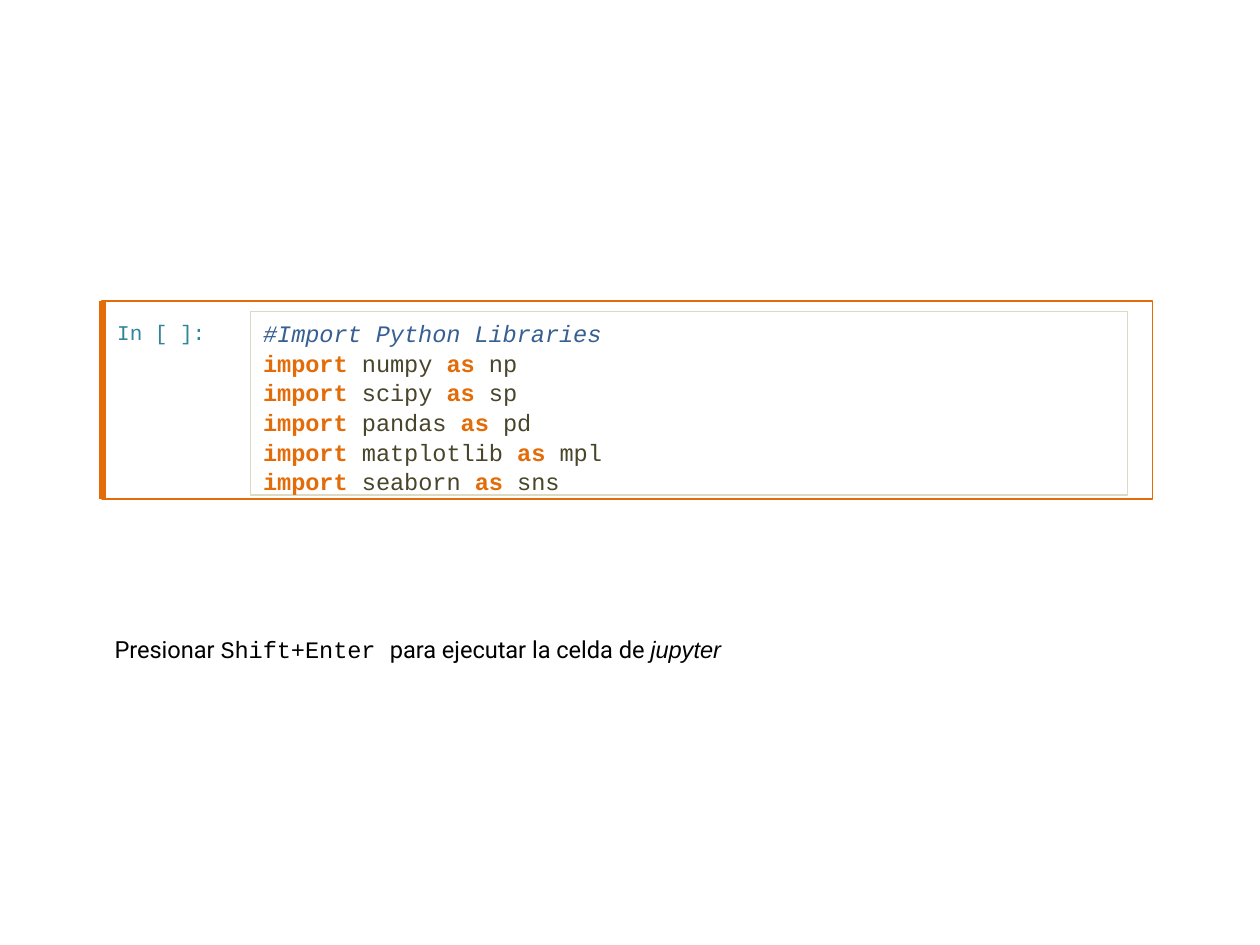
"""Build a slide that shows a notebook cell importing Python libraries."""
import pptx
import pptx.dml.color
import pptx.enum.shapes
import pptx.enum.text
import pptx.oxml
import pptx.oxml.ns
import pptx.util

Inches = pptx.util.Inches
Pt = pptx.util.Pt
RGBColor = pptx.dml.color.RGBColor

ORANGE = RGBColor(0xE3, 0x6C, 0x09)
TEAL = RGBColor(0x30, 0x85, 0x9C)
BLUE = RGBColor(0x37, 0x5F, 0x92)
OLIVE = RGBColor(0x49, 0x45, 0x2A)
BEIGE = RGBColor(0xDD, 0xD9, 0xC3)
BLACK = RGBColor(0, 0, 0)

MONO = {"name": "Courier New", "size": Pt(13.5)}
PROMPT = {"name": "Courier New", "size": Pt(12), "color": TEAL}
COMMENT = {**MONO, "italic": True, "color": BLUE}
KEYWORD = {**MONO, "bold": True, "color": ORANGE}
NAME = {**MONO, "color": OLIVE}
KEYS = {**MONO, "color": BLACK}
BODY = {**KEYS, "name": "Roboto"}
EMPHASIS = {**KEYS, "name": "Arial", "italic": True}

LIBRARIES = [
    ("numpy", "np"),
    ("scipy", "sp"),
    ("pandas", "pd"),
    ("matplotlib", "mpl"),
    ("seaborn", "sns"),
]


def format_span(span, values):
    """Apply a dict of font values to a run."""
    for key, value in values.items():
        if key == "color":
            span.font.color.rgb = value
        else:
            setattr(span.font, key, value)


def write_lines(box, lines, left, top):
    """Write lines of (text, format) spans into a box with the given insets."""
    frame = box.text_frame
    settings = {
        "word_wrap": True,
        "vertical_anchor": pptx.enum.text.MSO_ANCHOR.TOP,
        "margin_left": Inches(left),
        "margin_top": Inches(top),
        "margin_right": 0,
        "margin_bottom": 0,
    }
    for key, value in settings.items():
        setattr(frame, key, value)
    for index, line in enumerate(lines):
        para = frame.add_paragraph() if index else frame.paragraphs[0]
        para.alignment = pptx.enum.text.PP_ALIGN.LEFT
        para.space_after = Pt(0.8)
        for text, values in line:
            span = para.add_run()
            span.text = text
            format_span(span, values)


def add_text(page, place, lines, left, top):
    """Add a text box holding the given lines."""
    box = page.shapes.add_textbox(*map(Inches, place))
    write_lines(box, lines, left, top)


def add_outline(page, place, color):
    """Add an unfilled rectangle with a thin line."""
    box = page.shapes.add_shape(
        pptx.enum.shapes.MSO_SHAPE.RECTANGLE, *map(Inches, place))
    box.shadow.inherit = False
    box.fill.background()
    box.line.color.rgb = color
    box.line.width = Pt(0.75)
    return box


def add_bar(page, x, top, bottom):
    """Add the thick vertical line that marks the selected cell."""
    bar = page.shapes.add_connector(
        pptx.enum.shapes.MSO_CONNECTOR.STRAIGHT,
        *map(Inches, (x, top, x, bottom)))
    bar.line.color.rgb = ORANGE
    bar.line.width = Pt(4)
    properties = bar._element.spPr
    properties.append(
        properties.makeelement(pptx.oxml.ns.qn("a:effectLst"), {}))


def import_line(library, alias):
    """Return the coloured spans of one import statement."""
    return [("import ", KEYWORD), (library + " ", NAME),
            ("as ", KEYWORD), (alias, NAME)]


def main():
    """Build and save the slide."""
    deck = pptx.Presentation()
    deck.slide_width, deck.slide_height = Inches(10), Inches(7.5)
    page = deck.slides.add_slide(deck.slide_layouts[6])

    add_text(page, (0.84, 2.51, 1.1, 0.23), [[("In [ ]:", PROMPT)]], 0.09, 0.03)

    code = add_outline(page, (1.99, 2.47, 6.96, 1.46), BEIGE)
    lines = [[("#Import Python Libraries", COMMENT)]]
    lines += [import_line(*library) for library in LIBRARIES]
    write_lines(code, lines, 0.1, 0.06)

    left, top, width, height = 0.81, 2.39, 8.34, 1.57
    add_outline(page, (left, top, width, height), ORANGE)
    add_bar(page, left, top, top + height)

    note = [("Presionar ", BODY), ("Shift+Enter ", KEYS),
            ("para ejecutar la celda de ", BODY), ("jupyter", EMPHASIS)]
    add_text(page, (0.9, 5.01, 5, 0.25), [note], 0.01, 0.03)

    deck.save("out.pptx")


if __name__ == "__main__":
    main()
